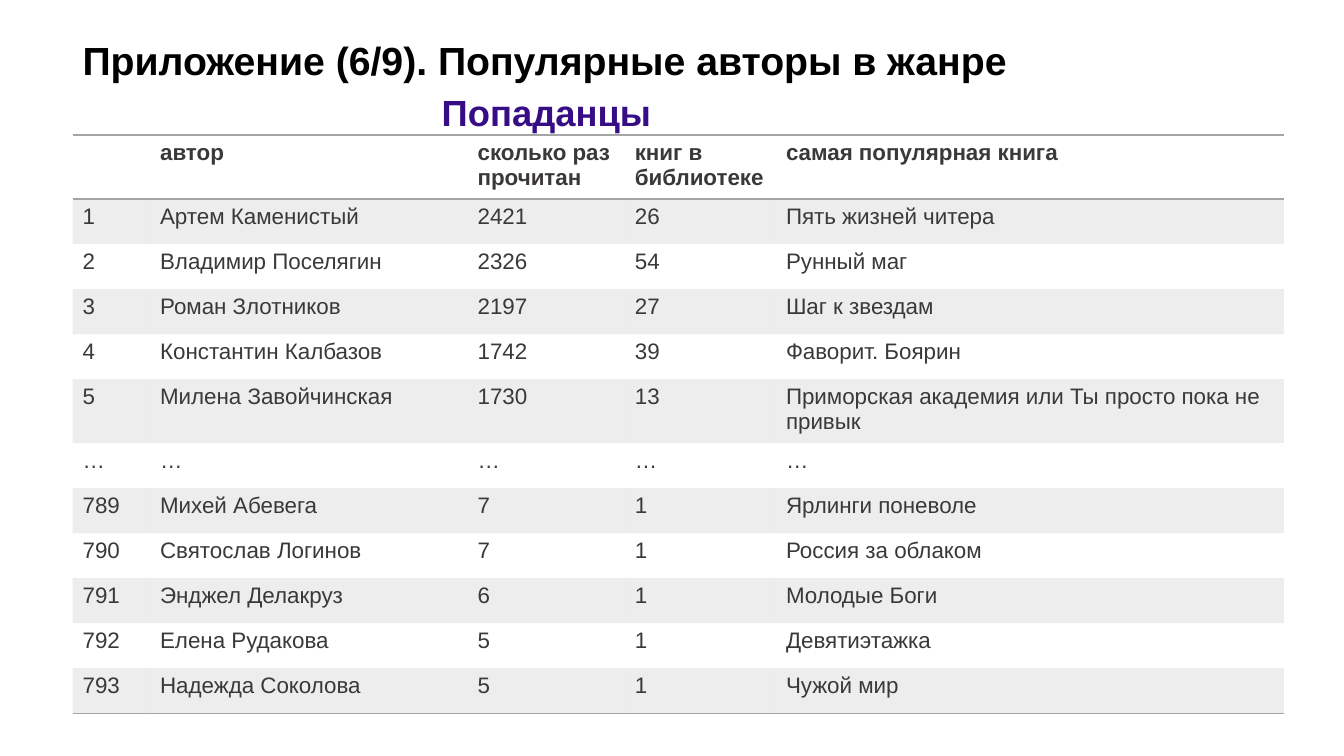
from dataclasses import dataclass

from lxml.etree import SubElement as SubEl
from pptx import Presentation
from pptx.dml.color import RGBColor as Rgb
from pptx.enum.text import MSO_ANCHOR as Anchor, MSO_AUTO_SIZE as AutoSize, PP_ALIGN as Align
from pptx.oxml.ns import qn
from pptx.slide import Slide
from pptx.table import _Cell as Cell
from pptx.util import Pt

COLORS = {"title": "000000", "genre": "370D86", "text": "3B3838", "grey": "A5A5A5"}
FONT = "Arial"
NO_STYLE_NO_GRID = "{2D5ABB26-0587-4C30-8999-92F81FD0307C}"
COLUMN_WIDTHS = (55.4, 226.8, 112.3, 108, 362.9)
ROW_HEIGHT = 32.2
LEFT = 51.8


@dataclass(frozen=True)
class Author:
    rank: str
    name: str
    reads: str
    books: str
    top_book: str

    def values(self) -> tuple[str, ...]:
        return self.rank, self.name, self.reads, self.books, self.top_book


@dataclass(frozen=True)
class TitleLine:
    text: str
    size: float
    color: str
    indent: float = 0
    space_before: float = 0


HEADER = Author("", "автор", "сколько раз прочитан", "книг в библиотеке", "самая популярная книга")
AUTHORS = (
    Author("1", "Артем Каменистый", "2421", "26", "Пять жизней читера"),
    Author("2", "Владимир Поселягин", "2326", "54", "Рунный маг"),
    Author("3", "Роман Злотников", "2197", "27", "Шаг к звездам"),
    Author("4", "Константин Калбазов", "1742", "39", "Фаворит. Боярин"),
    Author("5", "Милена Завойчинская", "1730", "13",
           "Приморская академия или Ты просто пока не привык"),
    Author("…", "…", "…", "…", "…"),
    Author("789", "Михей Абевега", "7", "1", "Ярлинги поневоле"),
    Author("790", "Святослав Логинов", "7", "1", "Россия за облаком"),
    Author("791", "Энджел Делакруз", "6", "1", "Молодые Боги"),
    Author("792", "Елена Рудакова", "5", "1", "Девятиэтажка"),
    Author("793", "Надежда Соколова", "5", "1", "Чужой мир"),
)
TITLE_LINES = (
    TitleLine("Приложение (6/9). Популярные авторы в жанре", 28, "title"),
    TitleLine("Попаданцы", 26, "genre", indent=256.5, space_before=3),
)


def set_font(paragraph, size: float, color: str, bold: bool) -> None:
    font = paragraph.font
    font.name, font.size, font.bold = FONT, Pt(size), bold
    font.color.rgb = Rgb.from_string(COLORS[color])


def draw_title(slide: Slide) -> None:
    title = slide.shapes.title
    title.left, title.top, title.width, title.height = Pt(LEFT), Pt(20.9), Pt(716.4), Pt(74.9)
    frame = title.text_frame
    frame.word_wrap, frame.auto_size = True, AutoSize.SHAPE_TO_FIT_TEXT
    frame.vertical_anchor = Anchor.TOP
    for number, line in enumerate(TITLE_LINES):
        paragraph = frame.add_paragraph() if number else frame.paragraphs[0]
        paragraph.text = line.text
        paragraph.alignment, paragraph.line_spacing = Align.LEFT, 1.05
        if number:
            paragraph.space_before = Pt(line.space_before)
            paragraph._p.get_or_add_pPr().set("marL", str(Pt(line.indent)))
        set_font(paragraph, line.size, line.color, True)


def add_rule(cell: Cell, side: str) -> None:
    rule = SubEl(cell._tc.get_or_add_tcPr(), qn(f"a:{side}"), w=str(Pt(1)))
    SubEl(SubEl(rule, qn("a:solidFill")), qn("a:srgbClr"), val=COLORS["grey"])


def fill_cell(cell: Cell, banded: bool) -> None:
    if not banded:
        cell.fill.background()
        return
    cell.fill.solid()
    cell.fill.fore_color.rgb = Rgb.from_string(COLORS["grey"])
    tint = cell._tc.tcPr.find(f"{qn('a:solidFill')}/{qn('a:srgbClr')}")
    SubEl(tint, qn("a:alpha"), val="20000")


def draw_ranking(slide: Slide) -> None:
    lines = (HEADER, *AUTHORS)
    ranking = slide.shapes.add_table(
        len(lines), len(COLUMN_WIDTHS), Pt(LEFT), Pt(96.5),
        Pt(sum(COLUMN_WIDTHS)), Pt(ROW_HEIGHT * len(lines))).table
    ranking._tbl.tblPr.find(qn("a:tableStyleId")).text = NO_STYLE_NO_GRID
    for column, width in zip(ranking.columns, COLUMN_WIDTHS):
        column.width = Pt(width)
    for number, (row, author) in enumerate(zip(ranking.rows, lines)):
        row.height = Pt(ROW_HEIGHT)
        is_header = number == 0
        for cell, value in zip(row.cells, author.values()):
            cell.text = value
            set_font(cell.text_frame.paragraphs[0], 16, "text", is_header)
            # Rules frame the header and close the table
            if is_header:
                add_rule(cell, "lnT")
            if author in (HEADER, AUTHORS[-1]):
                add_rule(cell, "lnB")
            fill_cell(cell, banded=number % 2 == 1)


def main() -> None:
    deck = Presentation()
    deck.slide_width, deck.slide_height = Pt(960), Pt(540)
    slide = deck.slides.add_slide(deck.slide_layouts[5])
    draw_title(slide)
    draw_ranking(slide)
    deck.save("out.pptx")


if __name__ == "__main__":
    main()
